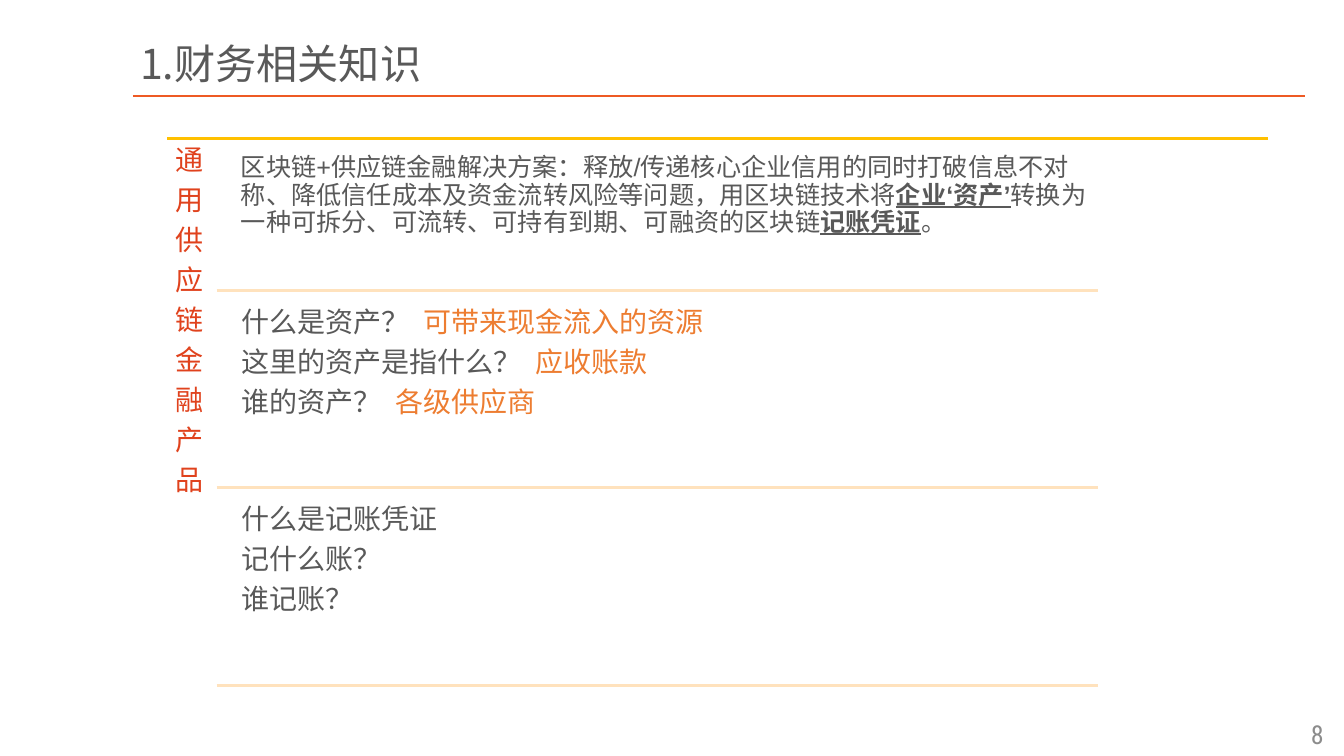
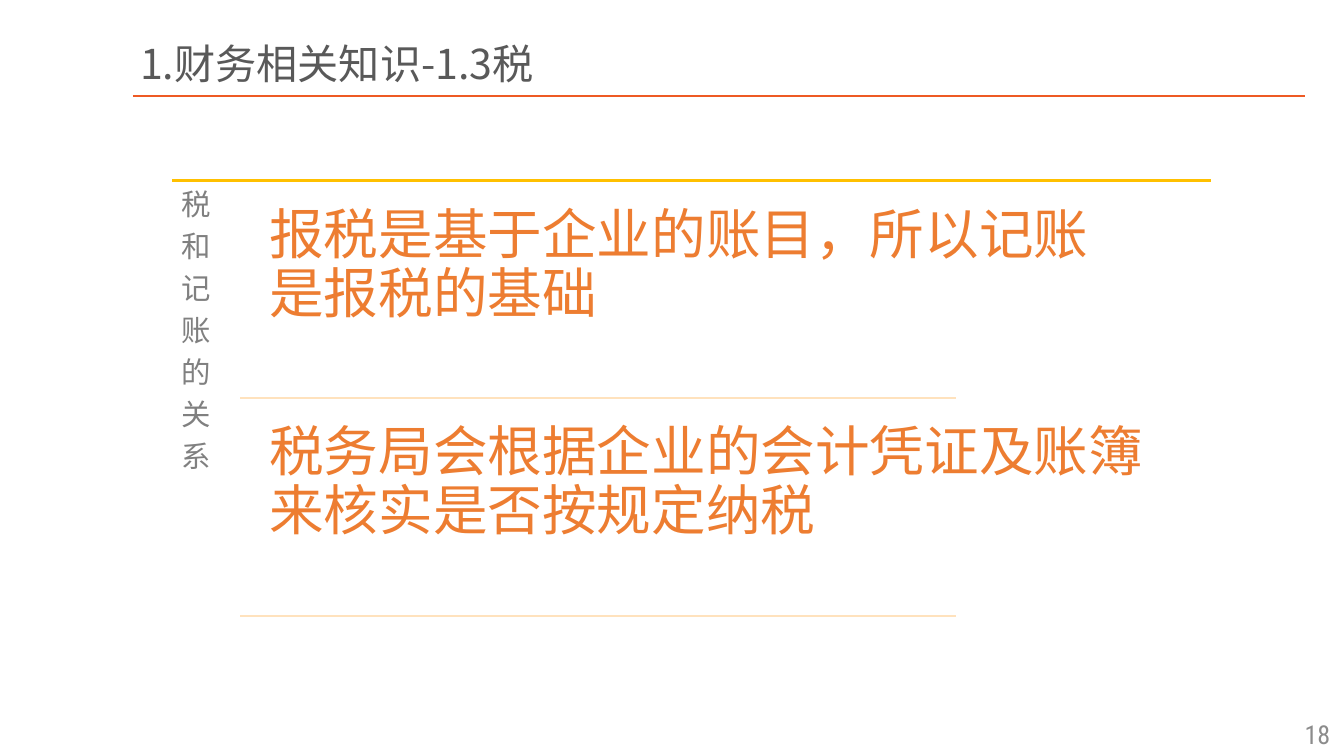
import pptx
import pptx.util
import pptx.dml.color
import pptx.enum.lang
import pptx.enum.shapes
import pptx.enum.text
import lxml.etree

Cm = pptx.util.Cm
Pt = pptx.util.Pt
ANCHOR = pptx.enum.text.MSO_ANCHOR
ALIGN = pptx.enum.text.PP_ALIGN
NS = "{http://schemas.openxmlformats.org/drawingml/2006/main}"

DARK = "595959"
GREY = "808080"
PAGE_GREY = "8C8C8C"
RED = "E0421D"
ORANGE = "ED7D31"
TITLE_RULE = "EE5A24"
GOLD = "FFC000"
PEACH = "FFE2BD"
BODY_FONT = "Arial"
TITLE_FONT = "Noto Sans CJK SC"
PAGE_FONT = "Roboto Condensed"


def rgb(value):
    return pptx.dml.color.RGBColor.from_string(value)


def add_line(s, x1, x2, y, color, width=2):
    line = s.shapes.add_connector(
        pptx.enum.shapes.MSO_CONNECTOR.STRAIGHT, Cm(x1), Cm(y), Cm(x2), Cm(y))
    line.line.color.rgb = rgb(color)
    line.line.width = Pt(width)
    lxml.etree.SubElement(line._element.spPr, NS + "effectLst")


def add_box(s, x, y, w, h, inset_x, inset_y, anchor=ANCHOR.TOP):
    tf = s.shapes.add_textbox(Cm(x), Cm(y), Cm(w), Cm(h)).text_frame
    tf.word_wrap = True
    tf.vertical_anchor = anchor
    tf.margin_left = tf.margin_right = Cm(inset_x)
    tf.margin_top = tf.margin_bottom = Cm(inset_y)
    return tf


def add_run(p, text, size, color, font=BODY_FONT, strong=False):
    r = p.add_run()
    r.text = text
    r.font.size = Pt(size)
    r.font.color.rgb = rgb(color)
    r.font.name = font
    r.font.bold = r.font.underline = strong
    r.font.language_id = pptx.enum.lang.MSO_LANGUAGE_ID.SIMPLIFIED_CHINESE
    latin = r._r.rPr.find(NS + "latin")
    latin.addnext(latin.makeelement(NS + "ea", {"typeface": font}))


def set_tab(p, position):
    tabs = lxml.etree.SubElement(p._p.get_or_add_pPr(), NS + "tabLst")
    lxml.etree.SubElement(tabs, NS + "tab", pos=str(int(position)), algn="l")


def add_paragraphs(tf, paragraphs, size):
    for i, runs in enumerate(paragraphs):
        p = tf.add_paragraph() if i else tf.paragraphs[0]
        p.line_spacing = Pt(1.08 * size)
        p.space_after = Pt(0.35 * size)
        if runs[0][0].endswith("\t"):
            set_tab(p, Pt(size * (len(runs[0][0]) - 0.5)))
        for text, color, *strong in runs:
            add_run(p, text, size, color, strong=bool(strong))


def add_frame(prs, title, number):
    s = prs.slides.add_slide(prs.slide_layouts[6])
    add_line(s, 3.35, 32.89, 2.41, TITLE_RULE, 1.5)
    tf = add_box(s, 3.35, 0.99, 21.84, 1.22, 0.18, 0.1, ANCHOR.MIDDLE)
    add_run(tf.paragraphs[0], title, 29.4, DARK, TITLE_FONT)
    tf = add_box(s, 32.54, 17.93, 1.32, 1.12, 0.28, 0.15, ANCHOR.MIDDLE)
    tf.paragraphs[0].alignment = ALIGN.CENTER
    add_run(tf.paragraphs[0], str(number), 18.6, PAGE_GREY, PAGE_FONT)
    return s


def add_label(s, text, x, right, y, w, h, inset, size, color):
    add_line(s, x, right, y, GOLD)
    tf = add_box(s, x, y, w, h, inset, inset)
    add_paragraphs(tf, [[(char, color)] for char in text], size)


def add_rows(s, rows, x, top, line_left, line_right):
    for bottom, width, inset, size, paragraphs in rows:
        tf = add_box(s, x, top + 0.24, width, bottom - top - 0.24, inset, inset)
        add_paragraphs(tf, paragraphs, size)
        add_line(s, line_left, line_right, bottom, PEACH)
        top = bottom


def add_product_slide(prs):
    s = add_frame(prs, "1.财务相关知识", 8)
    add_label(s, "通用供应链金融产品", 4.22, 31.95, 3.48, 1.24, 14.05, 0.2, 20, RED)
    solution = [[
        ("区块链+供应链金融解决方案：释放/传递核心企业信用的同时打破信息不对称、"
         "降低信任成本及资金流转风险等问题，用区块链技术将", DARK),
        ("企业‘资产’", DARK, True),
        ("转换为一种可拆分、可流转、可持有到期、可融资的区块链", DARK),
        ("记账凭证", DARK, True),
        ("。", DARK),
    ]]
    answers = [
        ("什么是资产？", "可带来现金流入的资源"),
        ("这里的资产是指什么？", "应收账款"),
        ("谁的资产？", "各级供应商"),
    ]
    assets = [[(q + "\t", DARK), (a, ORANGE)] for q, a in answers]
    vouchers = [[(q, DARK)] for q in ("什么是记账凭证", "记什么账？", "谁记账？")]
    rows = [
        (7.32, 21.77, 0.18, 18, solution),
        (12.29, 21.95, 0.2, 20, assets),
        (17.27, 21.77, 0.2, 20, vouchers),
    ]
    add_rows(s, rows, 5.89, 3.48, 5.46, 27.66)


def add_tax_slide(prs):
    s = add_frame(prs, "1.财务相关知识-1.3税", 18)
    add_label(s, "税和记账的关系", 4.34, 30.53, 4.55, 1.7, 11.25, 0.23, 21, GREY)
    rows = [
        (10.03, 22.1, 0.41, 39, [[("报税是基于企业的账目，所以记账是报税的基础", ORANGE)]]),
        (15.52, 24.13, 0.41, 39,
         [[("税务局会根据企业的会计凭证及账簿来核实是否按规定纳税", ORANGE)]]),
    ]
    add_rows(s, rows, 6.38, 4.55, 6.05, 24.08)


def main():
    prs = pptx.Presentation()
    prs.slide_width = Cm(33.87)
    prs.slide_height = Cm(19.05)
    add_product_slide(prs)
    add_tax_slide(prs)
    prs.save("out.pptx")


if __name__ == "__main__":
    main()
